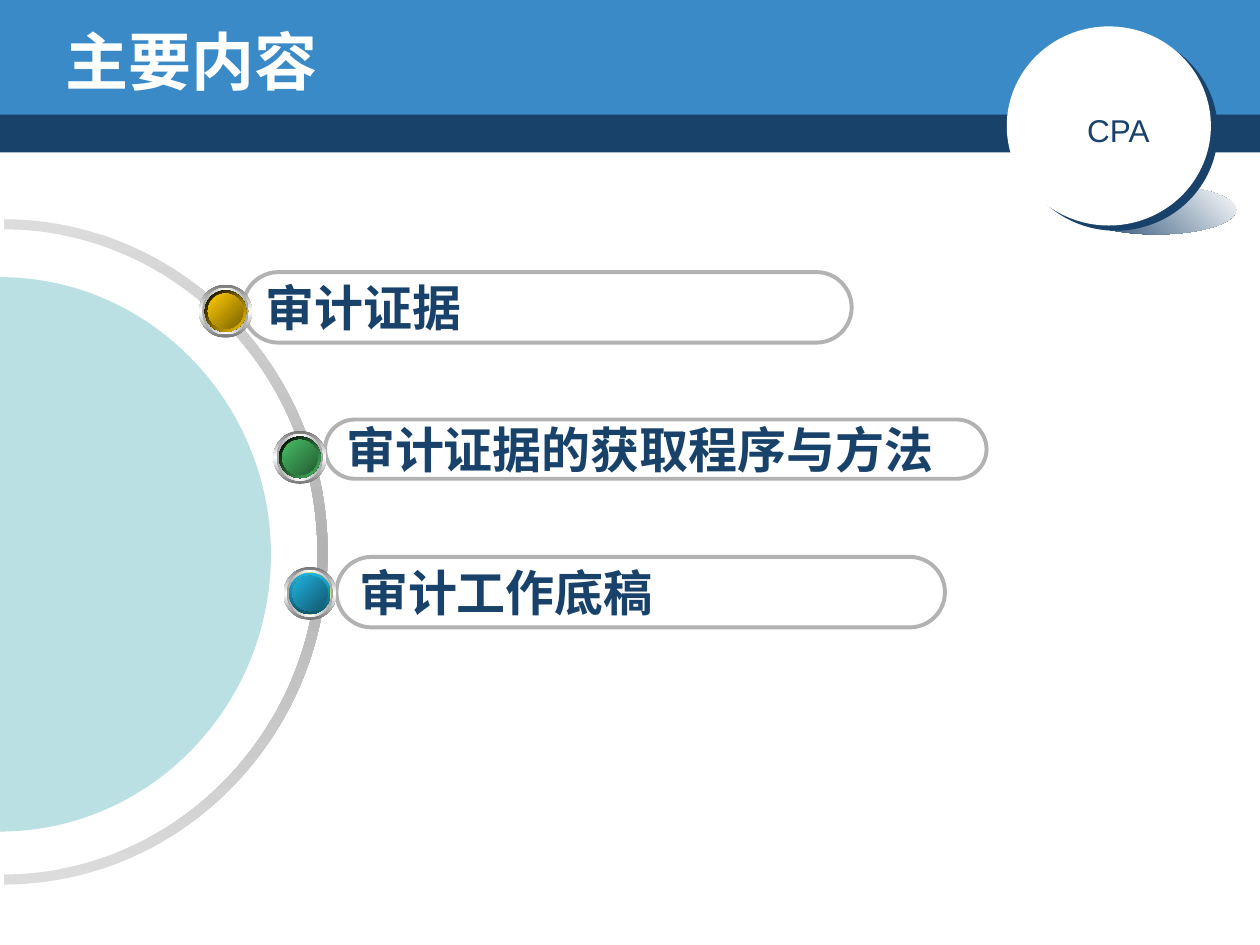
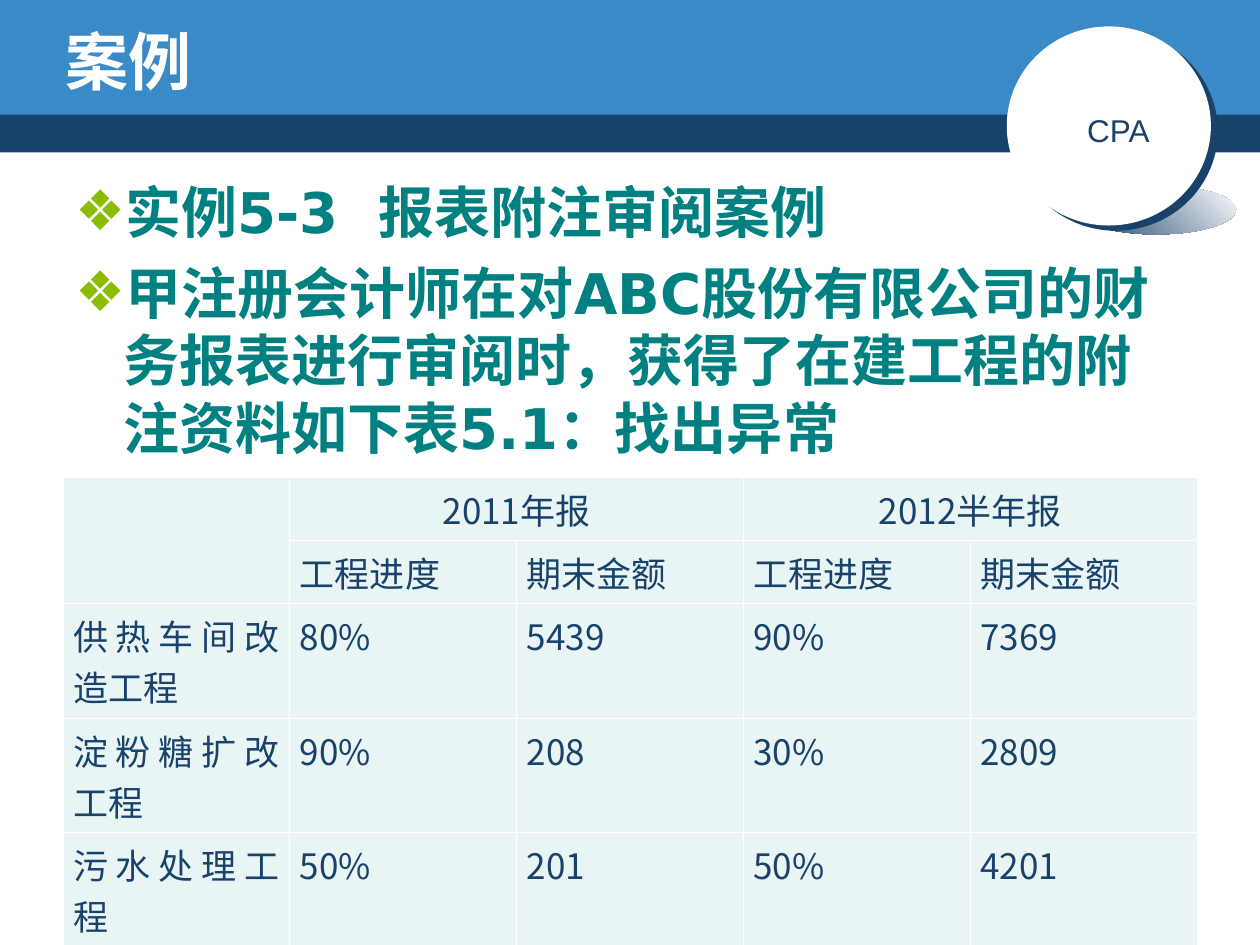
from lxml import etree
from pptx import Presentation
from pptx.dml.color import RGBColor
from pptx.enum.lang import MSO_LANGUAGE_ID
from pptx.enum.shapes import MSO_SHAPE
from pptx.enum.text import MSO_ANCHOR, PP_ALIGN
from pptx.oxml.ns import qn
from pptx.util import Inches, Pt

RECTANGLE = MSO_SHAPE.RECTANGLE
ROUNDED = MSO_SHAPE.ROUNDED_RECTANGLE
ELLIPSE = MSO_SHAPE.OVAL
MIDDLE = MSO_ANCHOR.MIDDLE
TOP = MSO_ANCHOR.TOP
LEFT = PP_ALIGN.LEFT
CENTER = PP_ALIGN.CENTER
JUSTIFY = PP_ALIGN.JUSTIFY
CHINESE = MSO_LANGUAGE_ID.SIMPLIFIED_CHINESE

WHITE = RGBColor(0xFF, 0xFF, 0xFF)
BLACK = RGBColor(0x00, 0x00, 0x00)
NAVY = RGBColor(0x19, 0x42, 0x6B)
BLUE = RGBColor(0x39, 0x8A, 0xC7)
TEAL = RGBColor(0x00, 0x80, 0x80)
PALE_TEAL = RGBColor(0xBB, 0xE0, 0xE3)
CELL_TINT = RGBColor(0xE8, 0xF5, 0xF4)
LIGHT_GRAY = RGBColor(0xDC, 0xDC, 0xDC)
GRAY = RGBColor(0xB2, 0xB2, 0xB2)
RIM_GRAY = RGBColor(0x76, 0x76, 0x76)
INNER_GRAY = RGBColor(0xA2, 0xA2, 0xA2)
LIME = RGBColor(0x8B, 0xBC, 0x00)
DARK_LIME = RGBColor(0x4B, 0x66, 0x00)
YELLOW = RGBColor(0xFF, 0xCC, 0x00)
DARK_YELLOW = RGBColor(0x7C, 0x63, 0x00)
GREEN = RGBColor(0x48, 0xBE, 0x67)
DARK_GREEN = RGBColor(0x23, 0x5C, 0x32)
CYAN = RGBColor(0x21, 0xB3, 0xE1)
DARK_CYAN = RGBColor(0x10, 0x57, 0x6D)

HEADING_FONT = "DejaVu Sans"
LABEL_FONT = "Arial"
TABLE_FONT = "Noto Sans CJK SC"

AGENDA_TITLE = "主要内容"
AGENDA = [
    {"text": "审计证据", "pill": (1.93, 2.16, 4.83, 0.56), "ball": (1.58, 2.26),
     "shade": ([BLACK, YELLOW], 45), "face": [YELLOW, DARK_YELLOW]},
    {"text": "审计证据的获取程序与方法", "pill": (2.58, 3.33, 5.25, 0.47), "ball": (2.17, 3.42),
     "shade": ([BLACK, GREEN], 45), "face": [GREEN, DARK_GREEN]},
    {"text": "审计工作底稿", "pill": (2.67, 4.42, 4.83, 0.56), "ball": (2.25, 4.5),
     "shade": ([CYAN, DARK_CYAN], 90), "face": [CYAN, DARK_CYAN]},
]

CASE_TITLE = "案例"
CASE_POINTS = [
    "实例5-3  报表附注审阅案例",
    "甲注册会计师在对ABC股份有限公司的财务报表进行审阅时，获得了在建工程的附注资料如下表5.1：找出异常",
]
PERIODS = ["2011年报", "2012半年报"]
MEASURES = ["工程进度", "期末金额"]
PROJECTS = [
    ["供热车间改造工程", "80%", "5439", "90%", "7369"],
    ["淀粉糖扩改工程", "90%", "208", "30%", "2809"],
    ["污水处理工程", "50%", "201", "50%", "4201"],
]
HEADER_HEIGHT = 0.5
PROJECT_HEIGHT = 0.91
COLUMN_WIDTH = 1.8
CURVE_RATIO = 0.55


def inches(*values):
    return [Inches(value) for value in values]


def set_gradient(shape, colors, angle):
    shape.fill.gradient()
    gradient = shape.element.spPr.find(qn("a:gradFill"))
    for child in list(gradient):
        gradient.remove(child)
    stops = etree.SubElement(gradient, qn("a:gsLst"))
    for index, color in enumerate(colors):
        position = index * 100000 // (len(colors) - 1)
        stop = etree.SubElement(stops, qn("a:gs"), pos=str(position))
        etree.SubElement(stop, qn("a:srgbClr"), val=str(color))
    etree.SubElement(gradient, qn("a:lin"), ang=str(angle * 60000), scaled="0")


def paint(shape, colors, angle=0):
    shape.shadow.inherit = False
    shape.line.fill.background()
    if isinstance(colors, list):
        set_gradient(shape, colors, angle)
    else:
        shape.fill.solid()
        shape.fill.fore_color.rgb = colors


def add_painted(shapes, kind, box, colors, angle=0):
    shape = shapes.add_shape(kind, *inches(*box))
    paint(shape, colors, angle)
    return shape


def format_paragraph(paragraph, font_name, size, color, bold=False, alignment=LEFT):
    paragraph.alignment = alignment
    for run in paragraph.runs:
        font = run.font
        font.name, font.size, font.bold = font_name, Pt(size), bold
        font.color.rgb = color
        font.language_id = CHINESE
        latin = run._r.get_or_add_rPr().find(qn("a:latin"))
        latin.addnext(etree.Element(qn("a:ea"), typeface=font_name))


def set_label(shape, text, size, bold=False):
    frame = shape.text_frame
    frame.word_wrap = False
    frame.vertical_anchor = MIDDLE
    frame.text = text
    format_paragraph(frame.paragraphs[0], LABEL_FONT, size, NAVY, bold)


def add_drop_shadow(shape, color, distance, angle):
    effects = shape.element.spPr.find(qn("a:effectLst"))
    shadow = etree.SubElement(effects, qn("a:outerShdw"), blurRad="0",
                              dist=str(Pt(distance)), dir=str(angle * 60000),
                              algn="ctr", rotWithShape="0")
    etree.SubElement(shadow, qn("a:srgbClr"), val=str(color))


def add_header(slide):
    shapes = slide.shapes
    lower_band = add_painted(shapes, RECTANGLE, (0, 0.87, 10, 0.34), NAVY)
    upper_band = add_painted(shapes, RECTANGLE, (0, 0, 10, 0.91), BLUE)
    cast_shade = add_painted(shapes, ELLIPSE, (8.54, 1.47, 1.27, 0.39), [NAVY, WHITE], 315)
    badge = add_painted(shapes, ELLIPSE, (7.99, 0.21, 1.62, 1.58), WHITE)
    add_drop_shadow(badge, NAVY, 5, 37)
    badge_label = add_painted(shapes, ELLIPSE, (8.4, 0.76, 0.89, 0.54), WHITE)
    set_label(badge_label, "CPA", 18)
    layout_tree = slide.slide_layout.shapes.element
    for index, shape in enumerate([lower_band, upper_band, cast_shade, badge, badge_label]):
        layout_tree.insert(2 + index, shape.element)


def add_titled_slide(presentation, text):
    slide = presentation.slides.add_slide(presentation.slide_layouts[5])
    title = slide.shapes.title
    title.left, title.top, title.width, title.height = inches(0.42, 0.17, 8.5, 0.62)
    title.text_frame.text = text
    title.text_frame.vertical_anchor = MIDDLE
    format_paragraph(title.text_frame.paragraphs[0], HEADING_FONT, 36, WHITE, True)
    return slide


def right_arc(center_x, center_y, radius_x, radius_y):
    offsets = [(0, -1), (CURVE_RATIO, -1), (1, -CURVE_RATIO), (1, 0),
               (1, CURVE_RATIO), (CURVE_RATIO, 1), (0, 1)]
    return [tuple(inches(center_x + radius_x * x, center_y + radius_y * y)) for x, y in offsets]


def add_curved_outline(slide, arcs, colors, angle=0):
    points = [point for arc in arcs for point in arc]
    builder = slide.shapes.build_freeform(*points[0], scale=1.0)
    builder.add_line_segments(points[1:], close=True)
    shape = builder.convert_to_shape()
    segments = list(shape.element.iter(qn("a:lnTo")))
    for arc_start in range(0, len(points), len(arcs[0])):
        for first in (arc_start, arc_start + 3):
            curve = etree.Element(qn("a:cubicBezTo"))
            segments[first].addprevious(curve)
            for segment in segments[first:first + 3]:
                curve.append(segment[0])
                segment.getparent().remove(segment)
    paint(shape, colors, angle)


def add_ball(slide, item):
    left, top = item["ball"]
    layers = [
        (0.42, [RIM_GRAY, WHITE, RIM_GRAY], 90),
        (0.37, [INNER_GRAY, WHITE, INNER_GRAY], 0),
        (0.33, [WHITE, LIME, WHITE], 45),
        (0.33, *item["shade"]),
        (0.28, [DARK_LIME, LIME, DARK_LIME], 315),
        (0.28, item["face"], 45),
    ]
    group = slide.shapes.add_group_shape()
    for size, colors, angle in layers:
        inset = (layers[0][0] - size) / 2
        add_painted(group.shapes, ELLIPSE, (left + inset, top + inset, size, size), colors, angle)


def add_pill(slide, item):
    pill = slide.shapes.add_shape(ROUNDED, *inches(*item["pill"]))
    pill.shadow.inherit = False
    pill.adjustments[0] = 0.5
    pill.fill.background()
    pill.line.color.rgb = GRAY
    pill.line.width = Pt(2.25)
    set_label(pill, item["text"], 28, True)


def build_agenda(slide):
    ring = [right_arc(0.03, 4.38, 2.57, 2.64), right_arc(0.03, 4.38, 2.49, 2.56)[::-1]]
    add_curved_outline(slide, ring, [LIGHT_GRAY, GRAY, LIGHT_GRAY], 90)
    add_curved_outline(slide, [right_arc(0, 4.4, 2.15, 2.2)], PALE_TEAL)
    for item in reversed(AGENDA):
        add_pill(slide, item)
    for item in AGENDA:
        add_ball(slide, item)


def add_case_points(slide):
    frame = slide.shapes.add_textbox(*inches(0.5, 1.36, 9, 5.74)).text_frame
    frame.word_wrap = True
    for index, text in enumerate(CASE_POINTS):
        paragraph = frame.add_paragraph() if index else frame.paragraphs[0]
        paragraph.text = text
        if index:
            paragraph.space_before = Pt(8)
        properties = paragraph._p.get_or_add_pPr()
        properties.set("marL", str(Inches(0.38)))
        properties.set("indent", str(-Inches(0.38)))
        bullet_color = etree.SubElement(properties, qn("a:buClr"))
        etree.SubElement(bullet_color, qn("a:srgbClr"), val=str(LIME))
        etree.SubElement(properties, qn("a:buFont"), typeface=HEADING_FONT)
        etree.SubElement(properties, qn("a:buChar"), char="❖")
        format_paragraph(paragraph, HEADING_FONT, 32, TEAL, True)


def style_cell(cell):
    cell.margin_left = cell.margin_right = Inches(0.08)
    cell.margin_top = cell.margin_bottom = Inches(0.05)
    properties = cell._tc.get_or_add_tcPr()
    for side in ("a:lnL", "a:lnR", "a:lnT", "a:lnB"):
        border = etree.SubElement(properties, qn(side), w=str(Pt(0.45)))
        fill = etree.SubElement(border, qn("a:solidFill"))
        etree.SubElement(fill, qn("a:srgbClr"), val=str(WHITE))
    cell.fill.solid()
    cell.fill.fore_color.rgb = CELL_TINT


def add_project_table(slide):
    period_row = [""]
    for period in PERIODS:
        period_row += [period, ""]
    header_rows = [period_row, [""] + MEASURES * len(PERIODS)]
    rows = header_rows + PROJECTS
    heights = [HEADER_HEIGHT] * len(header_rows) + [PROJECT_HEIGHT] * len(PROJECTS)
    column_count = len(period_row)
    box = inches(0.5, 3.79, COLUMN_WIDTH * column_count, sum(heights))
    table = slide.shapes.add_table(len(rows), column_count, *box).table
    table.first_row = table.horz_banding = False
    for column in table.columns:
        column.width = Inches(COLUMN_WIDTH)
    for row_index, values in enumerate(rows):
        table.rows[row_index].height = Inches(heights[row_index])
        for column_index, value in enumerate(values):
            cell = table.cell(row_index, column_index)
            style_cell(cell)
            if value:
                cell.text_frame.text = value
                cell.vertical_anchor = TOP if row_index else MIDDLE
                format_paragraph(cell.text_frame.paragraphs[0], TABLE_FONT, 20, NAVY,
                                 alignment=JUSTIFY if row_index else CENTER)
    table.cell(0, 0).merge(table.cell(1, 0))
    for first in range(1, column_count, len(MEASURES)):
        table.cell(0, first).merge(table.cell(0, first + len(MEASURES) - 1))


def main():
    presentation = Presentation()
    presentation.slide_width, presentation.slide_height = inches(10, 7.5)
    agenda_slide = add_titled_slide(presentation, AGENDA_TITLE)
    add_header(agenda_slide)
    build_agenda(agenda_slide)
    case_slide = add_titled_slide(presentation, CASE_TITLE)
    add_case_points(case_slide)
    add_project_table(case_slide)
    presentation.save("out.pptx")


if __name__ == "__main__":
    main()
